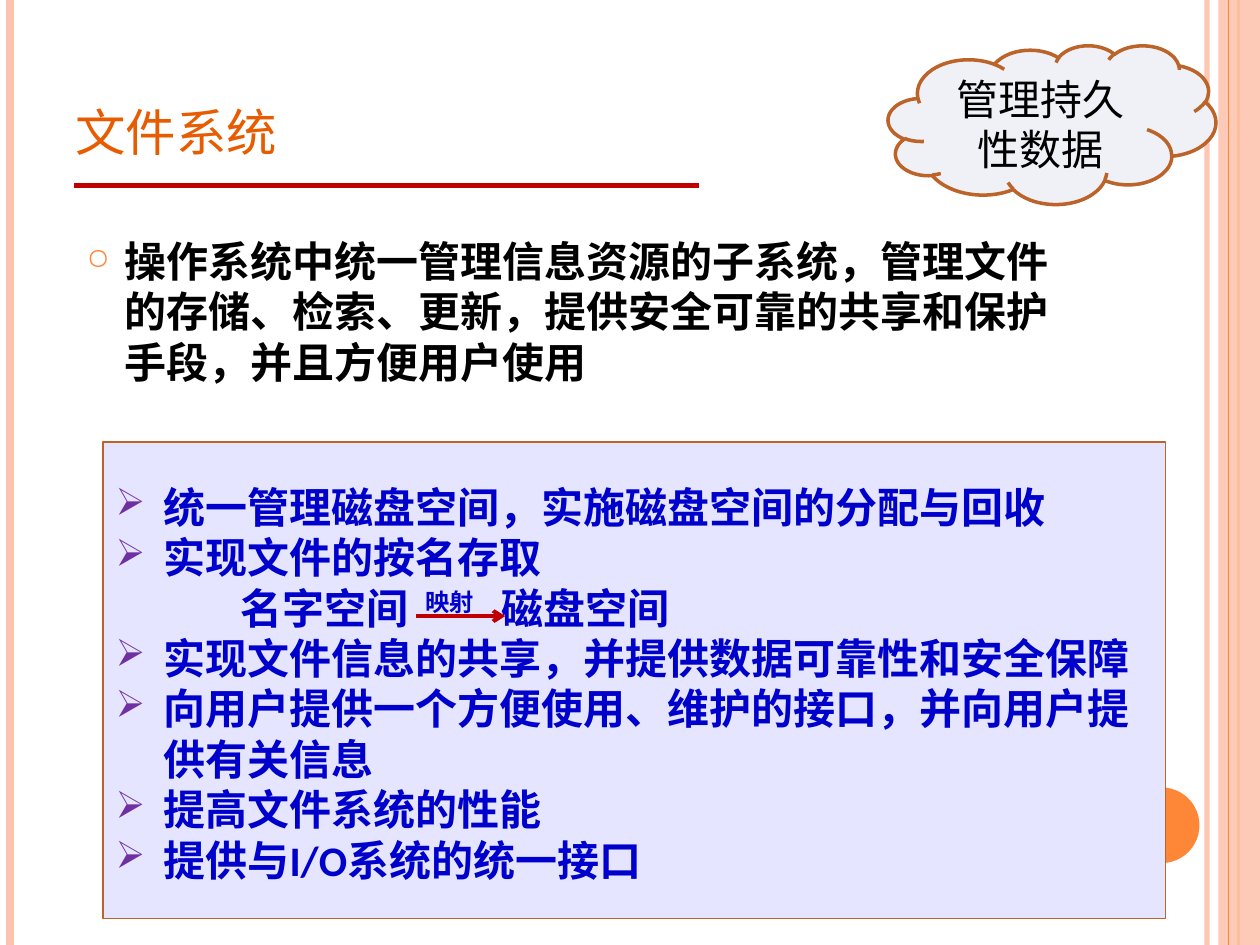
from dataclasses import dataclass

from lxml import etree
from pptx import Presentation
from pptx import util as u
from pptx.dml.color import RGBColor
from pptx.enum import shapes, text
from pptx.oxml.ns import qn


@dataclass(frozen=True)
class Theme:
    peach: str = "FEC3AE"
    orange: str = "FE8637"
    title: str = "E75C01"
    red: str = "C00000"
    brown: str = "BC6329"
    lilac: str = "E5E5FF"
    mist: str = "EFF1F7"
    blue: str = "0000CC"
    purple: str = "7030A0"
    black: str = "000000"
    head: int = 36
    body: int = 24
    lead: float = 28.8
    sans: str = "Calibri"
    serif: str = "Times New Roman"
    han: str = "Noto Sans CJK SC"


def sub(node, tag, **attrs):
    return etree.SubElement(node, qn(tag), {k: str(v) for k, v in attrs.items()})


def fade(fill, share):
    color = fill._xPr.find(qn("a:solidFill"))[0]
    sub(color, "a:alpha", val=share * 1000)


def write(para, words, size, color, face, bold=False, caps=False, lift=0):
    run = para.add_run()
    run.text = words
    font = run.font
    font.size, font.bold, font.name = u.Pt(size), bold, face
    font.color.rgb = RGBColor.from_string(color)
    props = run._r.get_or_add_rPr()
    sub(props, "a:ea", typeface=Theme.han)
    if caps:
        props.set("cap", "small")
    if lift:
        props.set("baseline", str(lift * 1000))


class Deck:
    cols, rows = 100, 75

    def __init__(self, theme):
        self.theme = theme
        self.file = Presentation()
        self.file.slide_width, self.file.slide_height = u.Inches(10), u.Inches(7.5)
        self.page = self.file.slides.add_slide(self.file.slide_layouts[6])

    def x(self, col):
        return round(self.file.slide_width * col / self.cols)

    def y(self, row):
        return round(self.file.slide_height * row / self.rows)

    def area(self, col, row, wide, high):
        return self.x(col), self.y(row), self.x(wide), self.y(high)

    def line(self, start, end, color, width, alpha=None, arrow=False):
        line = self.page.shapes.add_connector(
            shapes.MSO_CONNECTOR.STRAIGHT,
            self.x(start[0]), self.y(start[1]), self.x(end[0]), self.y(end[1]))
        line.line.width = u.Pt(width)
        line.line.color.rgb = RGBColor.from_string(color)
        if alpha:
            fade(line.line.fill, alpha)
        if arrow:
            sub(line.line._get_or_add_ln(), "a:tailEnd", type="arrow")
        sub(line._element.spPr, "a:effectLst")

    def shape(self, kind, box, fill, edge=None, width=1, alpha=None):
        item = self.page.shapes.add_shape(kind, *self.area(*box))
        item.shadow.inherit = False
        item.fill.solid()
        item.fill.fore_color.rgb = RGBColor.from_string(fill)
        if alpha:
            fade(item.fill, alpha)
        if edge:
            item.line.color.rgb = RGBColor.from_string(edge)
            item.line.width = u.Pt(width)
        else:
            item.line.fill.background()
        return self.frame(item, text.MSO_ANCHOR.MIDDLE)

    def label(self, box, anchor):
        return self.frame(self.page.shapes.add_textbox(*self.area(*box)), anchor)

    def frame(self, item, anchor):
        frame = item.text_frame
        frame.word_wrap, frame.vertical_anchor = True, anchor
        frame.margin_top = u.Inches(0.09)
        return frame

    def para(self, frame, align=text.PP_ALIGN.LEFT, bullet=None, tabs=()):
        para = frame.paragraphs[0]
        if para.runs:
            para = frame.add_paragraph()
        props = para._p.get_or_add_pPr()
        if bullet:
            mark, color, size, indent = bullet
            props.set("marL", str(self.x(indent)))
            props.set("indent", str(-self.x(indent)))
            sub(sub(props, "a:buClr"), "a:srgbClr", val=color)
            sub(props, "a:buSzPct", val=size * 1000)
            sub(props, "a:buChar", char=mark)
        if tabs:
            stops = sub(props, "a:tabLst")
            for stop in tabs:
                sub(stops, "a:tab", pos=self.x(stop), algn="l")
        para.alignment = align
        para.line_spacing = u.Pt(self.theme.lead)
        return para


def main():
    theme = Theme()
    deck = Deck(theme)
    kind = shapes.MSO_SHAPE

    def rule(col, color, width, alpha=None):
        deck.line((col, 0), (col, deck.rows), color, width, alpha)

    rule(95.8, theme.peach, 3, 93)
    rule(0.8, theme.peach, 4.5)
    rule(98.3, theme.orange, 1.5)
    deck.shape(kind.RECTANGLE, (96.7, 0, 3.3, deck.rows), theme.peach, alpha=87)
    rule(97.5, theme.orange, 0.75)
    deck.shape(kind.OVAL, (89.2, 62.5, 6, 6), theme.orange)
    deck.line((5.9, 14.7), (55.5, 14.7), theme.red, 3)

    title = deck.label((5, 3.4, 81.7, 10.1), text.MSO_ANCHOR.BOTTOM)
    para = deck.para(title)
    para.line_spacing = 1.0
    write(para, "文件系统", theme.head, theme.title, theme.han, caps=True)

    intro = deck.label((5.9, 17.8, 81, 46), text.MSO_ANCHOR.TOP)
    write(deck.para(intro, bullet=("○", theme.orange, 70, 3)),
          "操作系统中统一管理信息资源的子系统，管理文件的存储、检索、更新，"
          "提供安全可靠的共享和保护手段，并且方便用户使用",
          theme.body, theme.black, theme.serif, bold=True)

    panel = deck.shape(kind.RECTANGLE, (8.2, 35.1, 84.3, 37.8), theme.lilac, theme.brown)
    style = dict(size=theme.body, color=theme.blue, face=theme.sans, bold=True)

    def points(*items):
        for item in items:
            write(deck.para(panel, bullet=("➢", theme.purple, 90, 3.8)), item, **style)

    points("统一管理磁盘空间，实施磁盘空间的分配与回收", "实现文件的按名存取")
    para = deck.para(panel, tabs=(9.9, 24.6, 30.6))
    write(para, "\t名字空间\t", **style)
    write(para, "映射", lift=30, **style)
    write(para, "\t磁盘空间", **style)
    points("实现文件信息的共享，并提供数据可靠性和安全保障",
           "向用户提供一个方便使用、维护的接口，并向用户提供有关信息",
           "提高文件系统的性能",
           "提供与I/O系统的统一接口")
    deck.line((33, 48.9), (40.1, 48.9), theme.red, 2.25, arrow=True)

    cloud = deck.shape(kind.CLOUD, (70.5, 3.6, 26, 12.6), theme.mist, theme.brown, 2)
    write(deck.para(cloud, text.PP_ALIGN.CENTER), "管理持久性数据",
          theme.body, theme.black, theme.han)

    deck.file.save("out.pptx")


if __name__ == "__main__":
    main()
